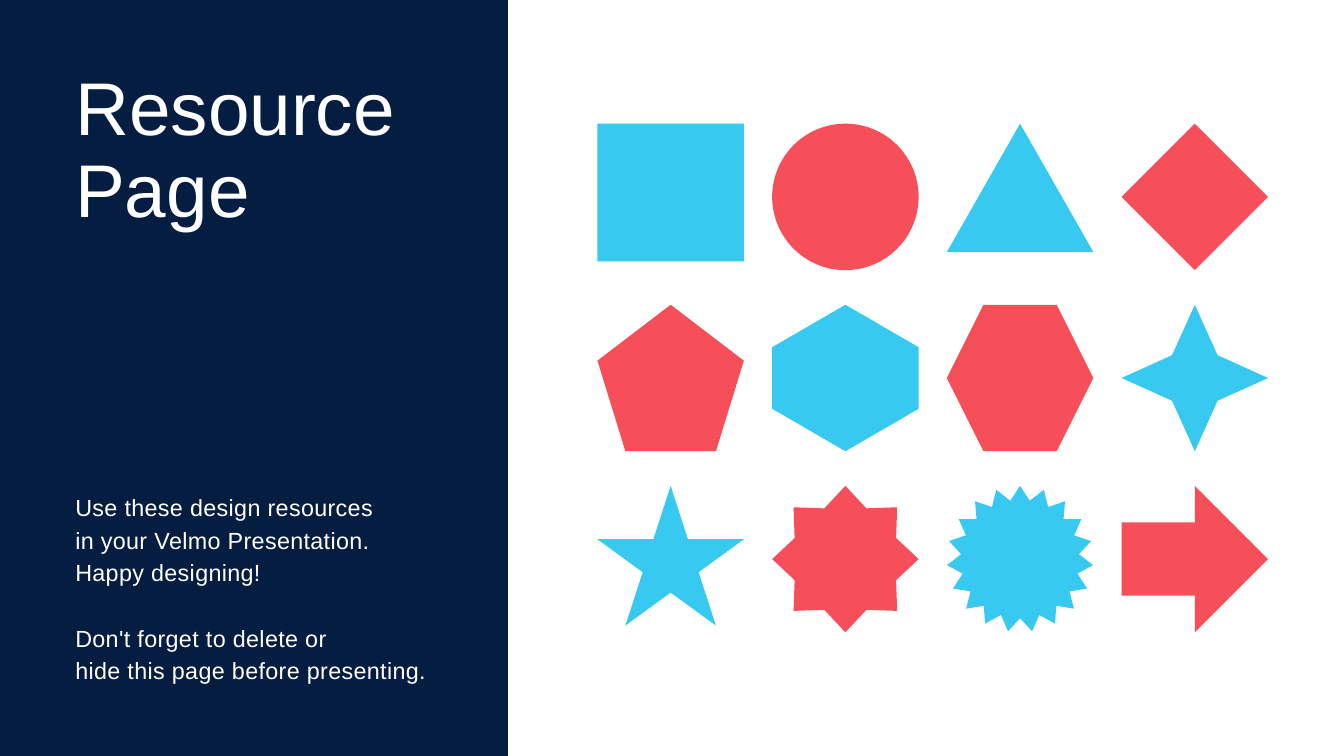
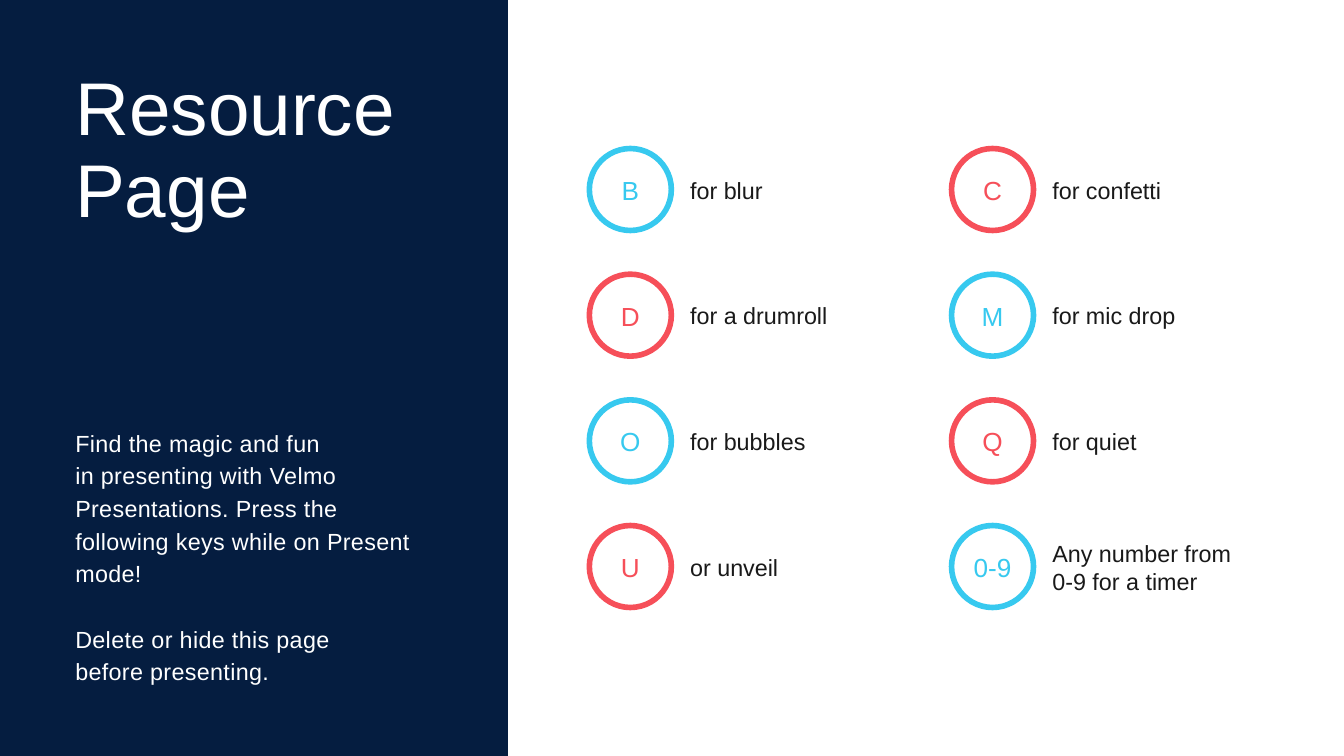
from math import cos, pi, sin

from pptx import Presentation
from pptx.dml.color import RGBColor as Rgb
from pptx.enum.shapes import MSO_SHAPE as Kind
from pptx.enum.text import MSO_ANCHOR as Anchor, PP_ALIGN as Align
from pptx.util import Inches, Pt

HUES = {"navy": "051D40", "blue": "37C9EF", "red": "F64F59",
        "white": "FFFFFF", "ink": "191919"}
FONT = "Arial"
SIDE = 2.18
RING = 1.22

FORMS = [
    [(Kind.RECTANGLE, 2.05, []), (Kind.OVAL, SIDE, []),
     (Kind.ISOSCELES_TRIANGLE, 1.91, []), (Kind.DIAMOND, SIDE, [])],
    [(Kind.REGULAR_PENTAGON, SIDE, []), (Kind.HEXAGON, SIDE, [0.29]),
     (Kind.HEXAGON, SIDE, [0.25]), (Kind.STAR_4_POINT, SIDE, [0.22])],
    [(Kind.STAR_5_POINT, 2.08, []), (Kind.STAR_8_POINT, SIDE, []),
     ("burst", SIDE, []), (Kind.RIGHT_ARROW, SIDE, [])],
]
KEYS = [
    [("B", ["for blur"]), ("C", ["for confetti"])],
    [("D", ["for a drumroll"]), ("M", ["for mic drop"])],
    [("O", ["for bubbles"]), ("Q", ["for quiet"])],
    [("U", ["or unveil"]), ("0-9", ["Any number from", "0-9 for a timer"])],
]


def tint(row, col):
    return "red" if (row + col) % 2 else "blue"


def box(x, y, w, h):
    return [Inches(n) for n in (x, y, w, h)]


def paint(shape, fill, line=None):
    shape.shadow.inherit = False
    shape.fill.solid()
    shape.fill.fore_color.rgb = Rgb.from_string(HUES[fill])
    if line:
        shape.line.color.rgb = Rgb.from_string(HUES[line])
        shape.line.width = Pt(6)
    else:
        shape.line.fill.background()


def write(frame, lines, size, lead, hue, align=Align.LEFT, anchor=Anchor.TOP):
    frame.word_wrap = True
    frame.vertical_anchor = anchor
    frame.margin_left = frame.margin_right = 0
    frame.margin_top = frame.margin_bottom = 0
    for i, line in enumerate(lines):
        para = frame.add_paragraph() if i else frame.paragraphs[0]
        para.text = line
        para.alignment = align
        para.line_spacing = Pt(lead)
        para.space_before = Pt(0)
        para.font.size = Pt(size)
        para.font.name = FONT
        para.font.color.rgb = Rgb.from_string(HUES[hue])


def add_page(deck, top, intro, close):
    slide = deck.slides.add_slide(deck.slide_layouts[5])
    title = slide.shapes.title
    panel = slide.shapes.add_shape(Kind.RECTANGLE, *box(0, 0, 7.56, 11.25))
    paint(panel, "navy")
    title.element.addprevious(panel.element)
    title.left, title.top, title.width, title.height = box(1.12, 1.02, 5.4, 2.47)
    write(title.text_frame, ["Resource", "Page"], 80, 88, "white")
    body = slide.shapes.add_textbox(*box(1.12, top, 5.38, 10.13 - top))
    frame = body.text_frame
    write(frame, intro + close, 25, 35, "white")
    frame.paragraphs[len(intro)].space_before = Pt(35)
    for para in frame.paragraphs:
        for run in para.runs:
            run.font._element.set("spc", "40")
    return slide


def add_burst(slide, x, y, tips=19):
    outer, inner = SIDE / 2, 0.88
    spots = []
    for i in range(2 * tips):
        reach = inner if i % 2 else outer
        turn = pi * i / tips
        spots.append((Inches(x + outer + reach * sin(turn)),
                      Inches(y + outer - reach * cos(turn))))
    pen = slide.shapes.build_freeform(*spots[0])
    pen.add_line_segments(spots[1:], close=True)
    return pen.convert_to_shape()


def add_form(slide, row, col):
    kind, high, bends = FORMS[row][col]
    x, y = 8.89 + 2.6 * col, 1.84 + 5.39 / 2 * row
    if kind == "burst":
        shape = add_burst(slide, x, y)
    else:
        shape = slide.shapes.add_shape(kind, *box(x, y, SIDE, high))
        for i, bend in enumerate(bends):
            shape.adjustments[i] = bend
    if (row, col) == (1, 1):
        shape.rotation = 90
    paint(shape, tint(row, col))


def add_key(slide, row, col):
    key, label = KEYS[row][col]
    x, y = 8.77 + 5.39 * col, 2.21 + 1.87 * row
    hue = tint(row, col)
    ring = slide.shapes.add_shape(Kind.OVAL, *box(x, y, RING, RING))
    paint(ring, "white", hue)
    frame = ring.text_frame
    write(frame, [key], 28, 28, hue, Align.CENTER, Anchor.MIDDLE)
    frame.margin_top = Inches(0.09)
    note = slide.shapes.add_textbox(*box(x + 1.5, y + 0.21, 3.21, 0.81))
    write(note.text_frame, label, 25, 30, "ink", anchor=Anchor.MIDDLE)


def fill_grid(slide, grid, add):
    for row, cells in enumerate(grid):
        for col in range(len(cells)):
            add(slide, row, col)


def main():
    deck = Presentation()
    deck.slide_width, deck.slide_height = Inches(20), Inches(11.25)
    forms = add_page(
        deck, 7.27,
        ["Use these design resources",
         "in your Velmo Presentation. Happy designing!"],
        ["Don't forget to delete or", "hide this page before presenting."])
    fill_grid(forms, FORMS, add_form)
    keys = add_page(
        deck, 6.31,
        ["Find the magic and fun",
         "in presenting with Velmo Presentations. Press the following keys "
         "while on Present mode!"],
        ["Delete or hide this page", "before presenting."])
    fill_grid(keys, KEYS, add_key)
    deck.save("out.pptx")


if __name__ == "__main__":
    main()
